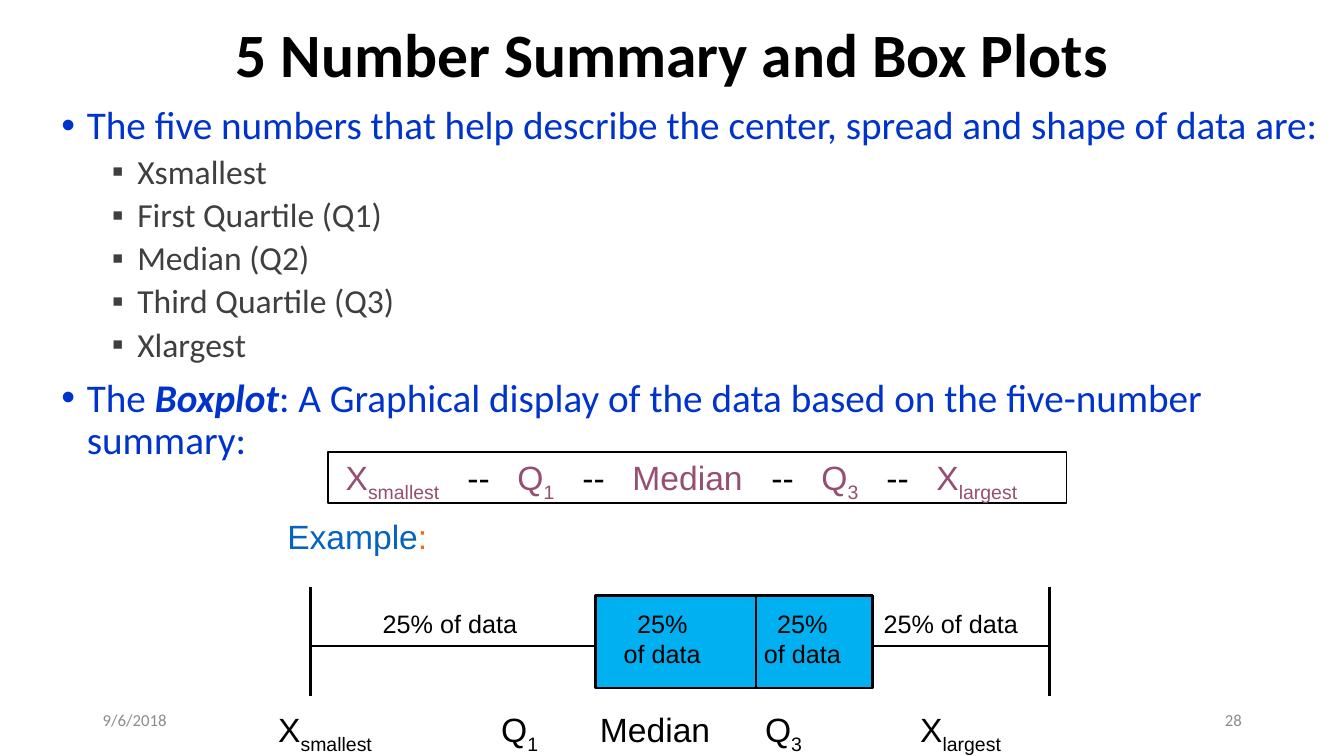
import pptx
import pptx.dml.color
import pptx.enum.shapes
import pptx.enum.text
import pptx.oxml.ns
import pptx.util
from lxml import etree

Cm = pptx.util.Cm
RGBColor = pptx.dml.color.RGBColor
ALIGN = pptx.enum.text.PP_ALIGN
ANCHOR = pptx.enum.text.MSO_ANCHOR

BLACK = RGBColor(0x00, 0x00, 0x00)
GRAY = RGBColor(0x8C, 0x8C, 0x8C)
DARK_GRAY = RGBColor(0x3F, 0x3F, 0x3F)
BLUE = RGBColor(0x00, 0x33, 0xCC)
LINK_BLUE = RGBColor(0x05, 0x63, 0xC1)
ORANGE = RGBColor(0xFF, 0x66, 0x00)
PLUM = RGBColor(0x95, 0x4F, 0x72)
SKY = RGBColor(0x00, 0xB0, 0xF0)


def add_child(parent, tag, **attributes):
    """Append a DrawingML element to the parent and return it."""
    return etree.SubElement(parent, pptx.oxml.ns.qn(tag), **attributes)


def add_text_frame(slide, box, anchor=ANCHOR.TOP, wrap=True):
    """Add a text box at (left, top, width, height) in centimetres."""
    frame = slide.shapes.add_textbox(*map(Cm, box)).text_frame
    frame.word_wrap = wrap
    frame.vertical_anchor = anchor
    return frame


def style_paragraph(paragraph, size, color=None, name="Arial", bold=None):
    """Set the font shared by all runs of a paragraph."""
    font = paragraph.font
    font.name, font.size, font.bold = name, pptx.util.Pt(size), bold
    if color is not None:
        font.color.rgb = color


def add_run(paragraph, text, color=None, subscript=False):
    """Add a run, optionally coloured or lowered."""
    run = paragraph.add_run()
    run.text = text
    if color is not None:
        run.font.color.rgb = color
    if subscript:
        run._r.get_or_add_rPr().set("baseline", "-25000")
    return run


def add_tabs(paragraph, stops, align="l"):
    """Add tab stops, given in centimetres, to a paragraph."""
    tab_list = add_child(paragraph._p.get_or_add_pPr(), "a:tabLst")
    for stop in stops:
        add_child(tab_list, "a:tab", pos=str(Cm(stop)), algn=align)


def add_bullet(paragraph, character, margin):
    """Give a paragraph a hanging bullet."""
    properties = paragraph._p.get_or_add_pPr()
    properties.set("marL", str(Cm(margin)))
    properties.set("indent", str(-Cm(0.64)))
    add_child(properties, "a:buFont", typeface="Arial")
    add_child(properties, "a:buChar", char=character)


def add_rectangle(slide, box, line_width, fill=None):
    """Add a black outlined rectangle."""
    shape = slide.shapes.add_shape(pptx.enum.shapes.MSO_SHAPE.RECTANGLE, *map(Cm, box))
    shape.shadow.inherit = False
    shape.line.color.rgb = BLACK
    shape.line.width = pptx.util.Pt(line_width)
    if fill is None:
        shape.fill.background()
    else:
        shape.fill.solid()
        shape.fill.fore_color.rgb = fill


def add_line(slide, *ends):
    """Add a black line between two points in centimetres."""
    line = slide.shapes.add_connector(pptx.enum.shapes.MSO_CONNECTOR.STRAIGHT, *map(Cm, ends))
    line.line.color.rgb = BLACK
    line.line.width = pptx.util.Pt(2)
    add_child(line._element.spPr, "a:effectLst")


def add_simple_text(slide, box, text, size, color, align, bold=None):
    """Add one vertically centred Calibri line."""
    paragraph = add_text_frame(slide, box, ANCHOR.MIDDLE).paragraphs[0]
    paragraph.alignment = align
    paragraph.line_spacing = 0.9
    add_run(paragraph, text)
    style_paragraph(paragraph, size, color, "Calibri", bold)


def add_body(slide, box):
    """Add the two main points and the list of five numbers."""
    frame = add_text_frame(slide, box)
    items = [
        (0, ["The five numbers that help describe the center, spread and shape of data are:"]),
        *((1, [name]) for name in ("Xsmallest", "First Quartile (Q1)", "Median (Q2)",
                                   "Third Quartile (Q3)", "Xlargest")),
        (0, ["The ", "Boxplot", ": A Graphical display of the data based on the five-number summary:"]),
    ]
    styles = [("•", 0.64, 28, BLUE, 10), ("▪", 1.91, 24, DARK_GRAY, 5)]
    for index, (level, texts) in enumerate(items):
        character, margin, size, color, space = styles[level]
        paragraph = frame.add_paragraph() if index else frame.paragraphs[0]
        paragraph.level = level
        add_bullet(paragraph, character, margin)
        paragraph.line_spacing = 0.9
        paragraph.space_before = pptx.util.Pt(space if index else 0)
        for text in texts:
            run = add_run(paragraph, text)
            if text == "Boxplot":
                run.font.bold = run.font.italic = True
        style_paragraph(paragraph, size, color, "Calibri")


def add_numbers(slide, box, stops, color, separator=None):
    """Write the five numbers along tab stops, with an optional separator."""
    paragraph = add_text_frame(slide, box).paragraphs[0]
    add_tabs(paragraph, stops)
    names = [("X", "smallest"), ("Q", "1"), ("Median", ""), ("Q", "3"), ("X", "largest")]
    for index, (name, suffix) in enumerate(names):
        if index and separator:
            add_run(paragraph, "\t" + separator, BLACK)
        add_run(paragraph, ("\t" if index else "") + name, color)
        if suffix:
            add_run(paragraph, suffix, color, subscript=True)
    style_paragraph(paragraph, 24)


def add_summary_strip(slide, box):
    """Add the framed line of five numbers."""
    left, top, width, height = box
    add_rectangle(slide, box, 1.25)
    stops = [3.07, 4.33, 5.97, 7.23, 10.73, 11.99, 13.63, 14.89]
    add_numbers(slide, (left + 0.2, top, width + 0.23, height), stops, PLUM, "--")


def add_example_heading(slide, box):
    """Add the heading above the box plot."""
    paragraph = add_text_frame(slide, box, wrap=False).paragraphs[0]
    add_run(paragraph, "Example", LINK_BLUE)
    add_run(paragraph, ":", ORANGE)
    style_paragraph(paragraph, 24)


def add_box_plot(slide, box):
    """Draw the box plot with its shares and the five labels."""
    left, top, width, height = box
    right, middle = left + width, top + 1.5
    first, median, third = left + 7.19, left + 11.23, left + 14.18
    box_top, box_height = top + 0.23, 2.33
    add_rectangle(slide, (first, box_top, third - first, box_height), 2, SKY)

    frame = add_text_frame(slide, (left + 1.07, top + 0.43, 17.15, 1.78))
    rows = [("\t25% of data\t25%\t25%\t25% of data", [2.2, 7.55, 11.08, 14.82]),
            ("\tof data\tof data", [7.55, 11.08])]
    for index, (text, stops) in enumerate(rows):
        paragraph = frame.add_paragraph() if index else frame.paragraphs[0]
        add_tabs(paragraph, stops, "ctr")
        add_run(paragraph, text)
        style_paragraph(paragraph, 18, BLACK)

    for x in (left, right):
        add_line(slide, x, top, x, top + height)
    for start, end in ((left, first), (third, right)):
        add_line(slide, start, middle, end, middle)
    add_line(slide, median, box_top, median, box_top + box_height)
    add_numbers(slide, (left - 1.06, top + 2.97, 22.05, 1.3), [5.62, 8.11, 12.27, 16.18], BLACK)


def main():
    """Build the slide and save it."""
    presentation = pptx.Presentation()
    presentation.slide_width, presentation.slide_height = Cm(33.87), Cm(19.05)
    slide = presentation.slides.add_slide(presentation.slide_layouts[6])
    add_simple_text(slide, (2.34, 0.3, 29.21, 2.31), "5 Number Summary and Box Plots",
                    44, BLACK, ALIGN.CENTER, True)
    add_body(slide, (1.3, 2.54, 32.28, 14.05))
    add_simple_text(slide, (2.34, 17.65, 7.62, 1.02), "9/6/2018", 12, GRAY, ALIGN.LEFT)
    add_simple_text(slide, (23.93, 17.65, 7.62, 1.02), "28", 12, GRAY, ALIGN.RIGHT)
    add_example_heading(slide, (6.99, 12.88, 4.04, 1.27))
    add_summary_strip(slide, (8.26, 11.4, 18.62, 1.27))
    add_box_plot(slide, (7.82, 14.78, 18.62, 2.77))
    presentation.save("out.pptx")


if __name__ == "__main__":
    main()
